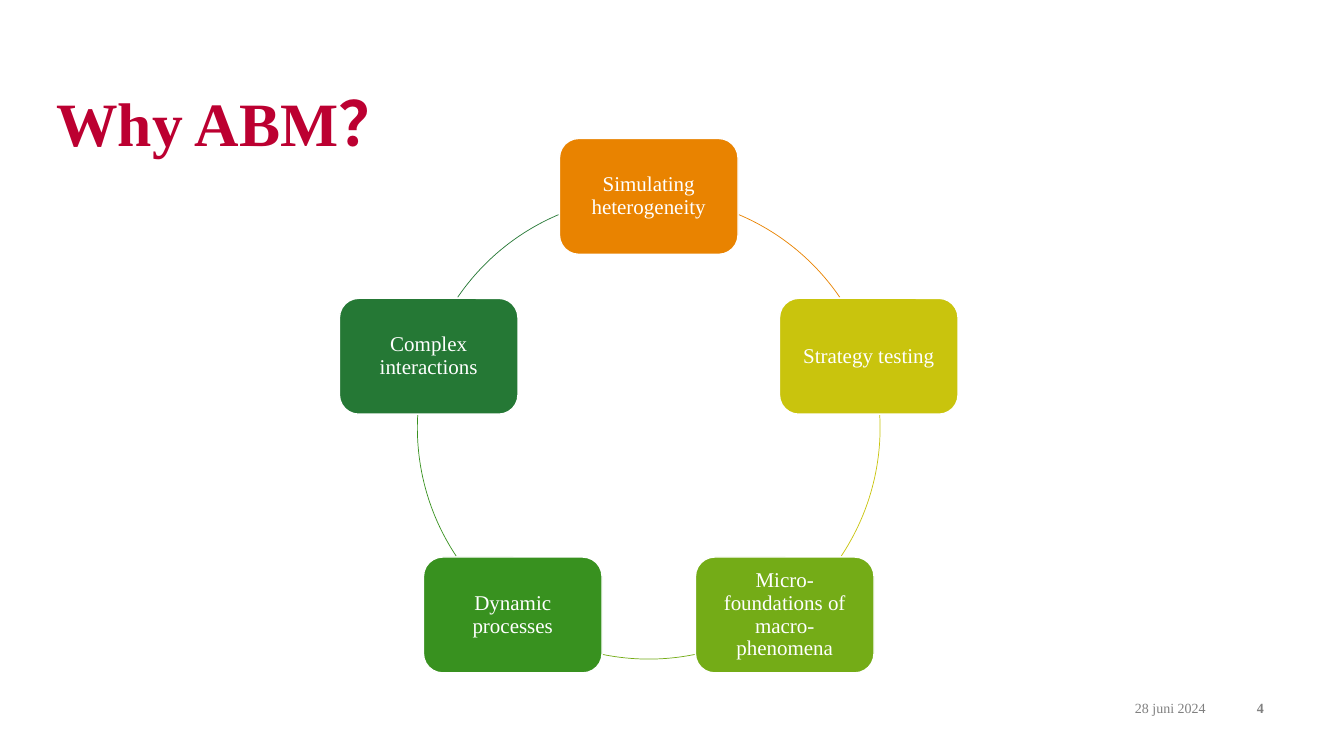
from math import cos, radians, sin

from pptx import Presentation
from pptx.dml.color import RGBColor
from pptx.enum.shapes import MSO_SHAPE as Shape
from pptx.enum.text import MSO_ANCHOR as Anchor, MSO_AUTO_SIZE as AutoSize, PP_ALIGN as Align
from pptx.util import Cm, Pt

CRIMSON = RGBColor(0xBC, 0x00, 0x31)
GREY = RGBColor(0x80, 0x80, 0x80)
WHITE = RGBColor(0xFF, 0xFF, 0xFF)
ORANGE = RGBColor(0xE9, 0x83, 0x00)
YELLOW = RGBColor(0xC9, 0xC4, 0x0D)
LIME = RGBColor(0x74, 0xAC, 0x17)
GREEN = RGBColor(0x38, 0x91, 0x1F)
DARK_GREEN = RGBColor(0x25, 0x78, 0x35)

FONT = "Times New Roman"
CENTER_X, CENTER_Y, RADIUS = 16.35, 10.78, 5.83
BOX_WIDTH, BOX_HEIGHT = 4.5, 2.92


def write(holder, text, size, color, align, bold=False, inset=0, spacing=1.0):
    frame = holder.text_frame
    frame.text = text
    frame_format = {
        "word_wrap": True,
        "auto_size": AutoSize.NONE,
        "vertical_anchor": Anchor.MIDDLE,
        "margin_left": Cm(inset),
        "margin_right": Cm(inset),
        "margin_top": Cm(inset),
        "margin_bottom": Cm(inset),
    }
    for key, value in frame_format.items():
        setattr(frame, key, value)
    paragraph = frame.paragraphs[0]
    paragraph.alignment = align
    paragraph.line_spacing = spacing
    font = paragraph.runs[0].font
    for key, value in {"name": FONT, "size": Pt(size), "bold": bold}.items():
        setattr(font, key, value)
    font.color.rgb = color


deck = Presentation()
deck.slide_width, deck.slide_height = Cm(33.87), Cm(19.05)
slide = deck.slides.add_slide(deck.slide_layouts[5])
shapes = slide.shapes

title = shapes.title
title_place = {"left": Cm(1.42), "top": Cm(1.96), "width": Cm(30.99), "height": Cm(2.46)}
for key, value in title_place.items():
    setattr(title, key, value)
write(title, "Why ABM？", 44, CRIMSON, Align.LEFT, bold=True, spacing=0.9)

footers = [("28 juni 2024", 22.23, 8.15, False), ("4", 31.06, 0.79, True)]
for text, left, width, bold in footers:
    footer = shapes.add_textbox(Cm(left), Cm(17.63), Cm(width), Cm(0.43))
    write(footer, text, 10, GREY, Align.RIGHT, bold=bold)

reasons = [
    ("Simulating heterogeneity", ORANGE, 292.95, 325.65),
    ("Strategy testing", YELLOW, 356.9, 33.65),
    ("Micro-foundations of macro-phenomena", LIME, 78.55, 101.45),
    ("Dynamic processes", GREEN, 146.35, 183.1),
    ("Complex interactions", DARK_GREEN, 214.35, 247.05),
]
for index, (reason, color, arc_start, arc_end) in enumerate(reasons):
    angle = radians(72 * index - 90)
    left = CENTER_X + RADIUS * cos(angle) - BOX_WIDTH / 2
    top = CENTER_Y + RADIUS * sin(angle) - BOX_HEIGHT / 2
    box = shapes.add_shape(
        Shape.ROUNDED_RECTANGLE, Cm(left), Cm(top), Cm(BOX_WIDTH), Cm(BOX_HEIGHT)
    )
    box.shadow.inherit = False
    box.fill.solid()
    box.fill.fore_color.rgb = color
    box.line.color.rgb = WHITE
    box.line.width = Pt(1)
    write(box, reason, 15, WHITE, Align.CENTER, inset=0.3, spacing=0.9)

    arc = shapes.add_shape(
        Shape.ARC, Cm(CENTER_X - RADIUS), Cm(CENTER_Y - RADIUS), Cm(2 * RADIUS), Cm(2 * RADIUS)
    )
    arc.shadow.inherit = False
    arc.fill.background()
    arc.line.color.rgb = color
    arc.line.width = Pt(0.5)
    arc.adjustments[0] = arc_start * 0.6
    arc.adjustments[1] = arc_end * 0.6

deck.save("out.pptx")
